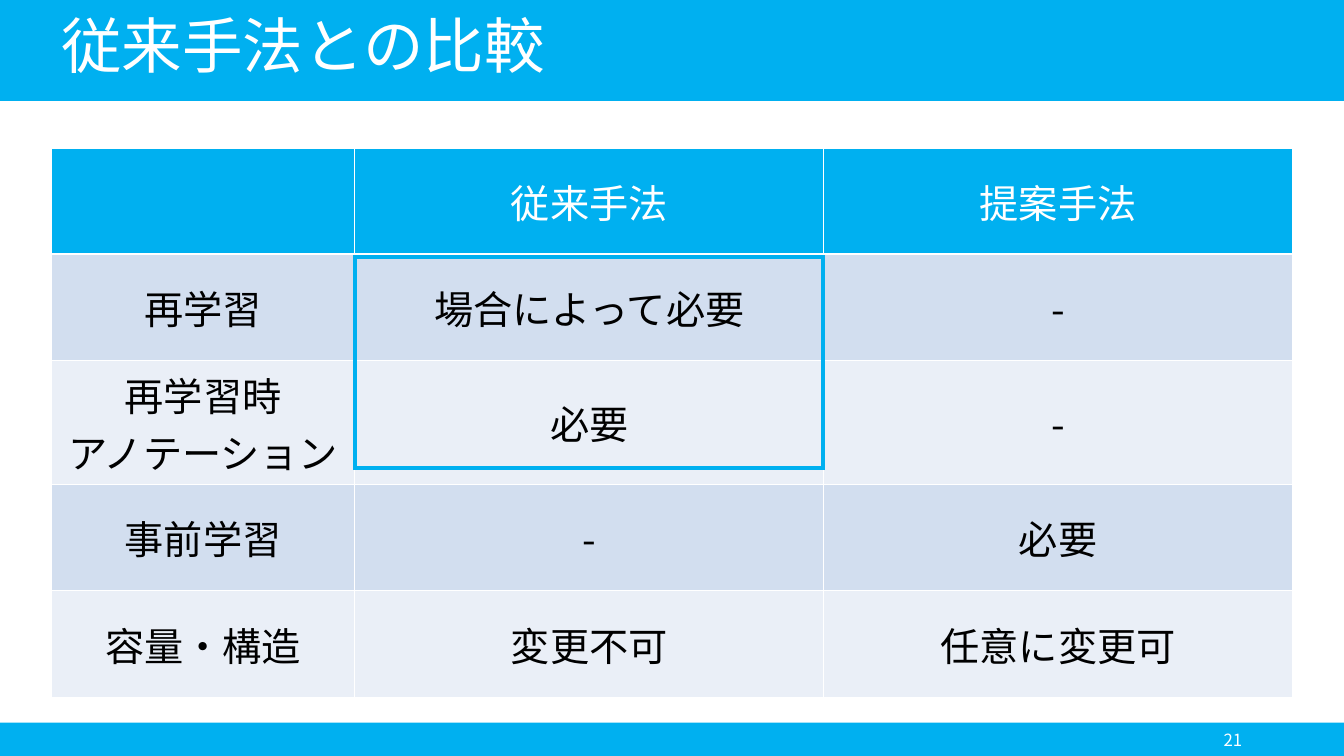
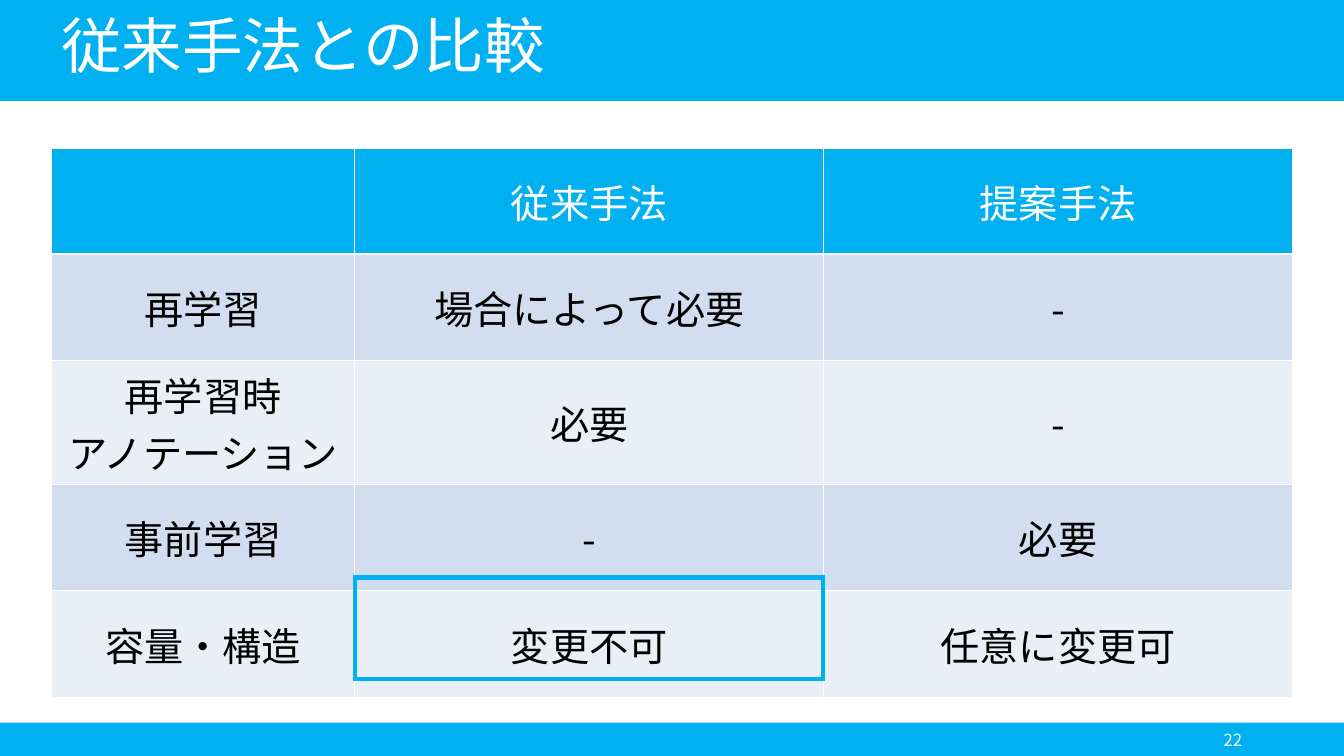
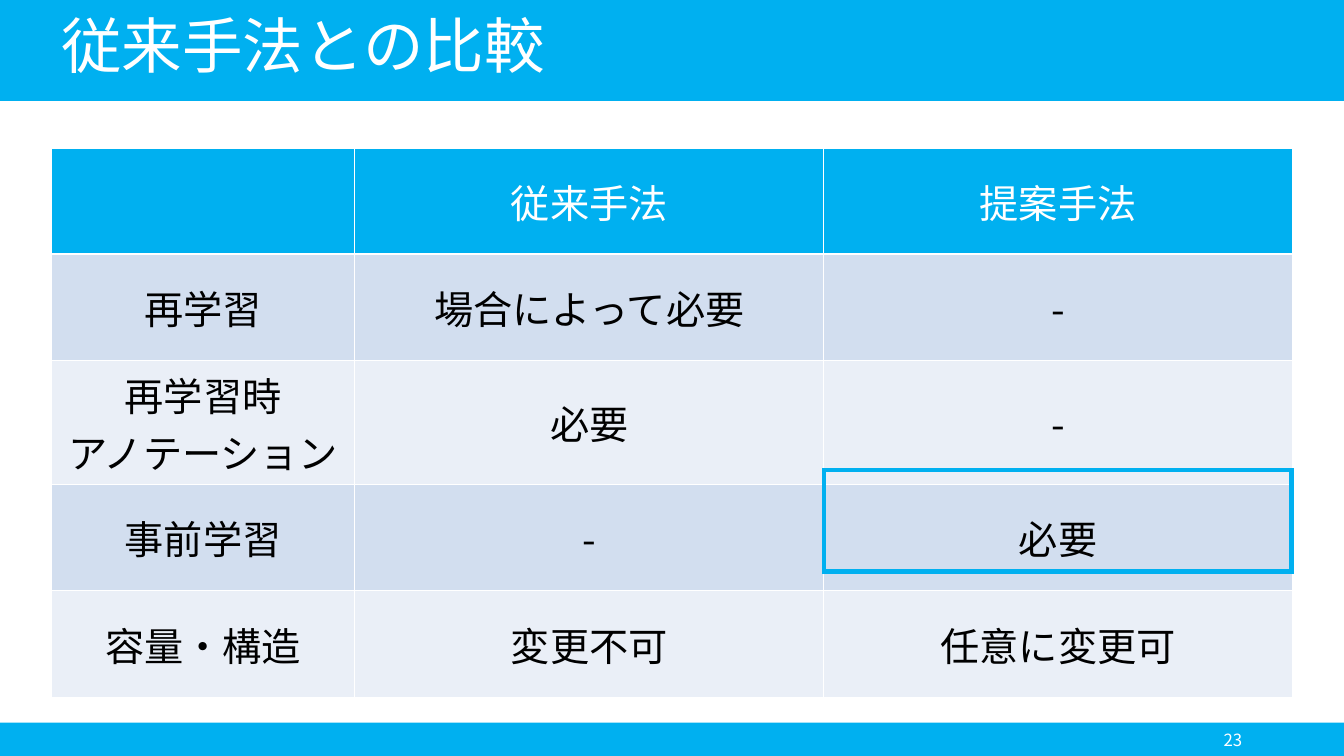
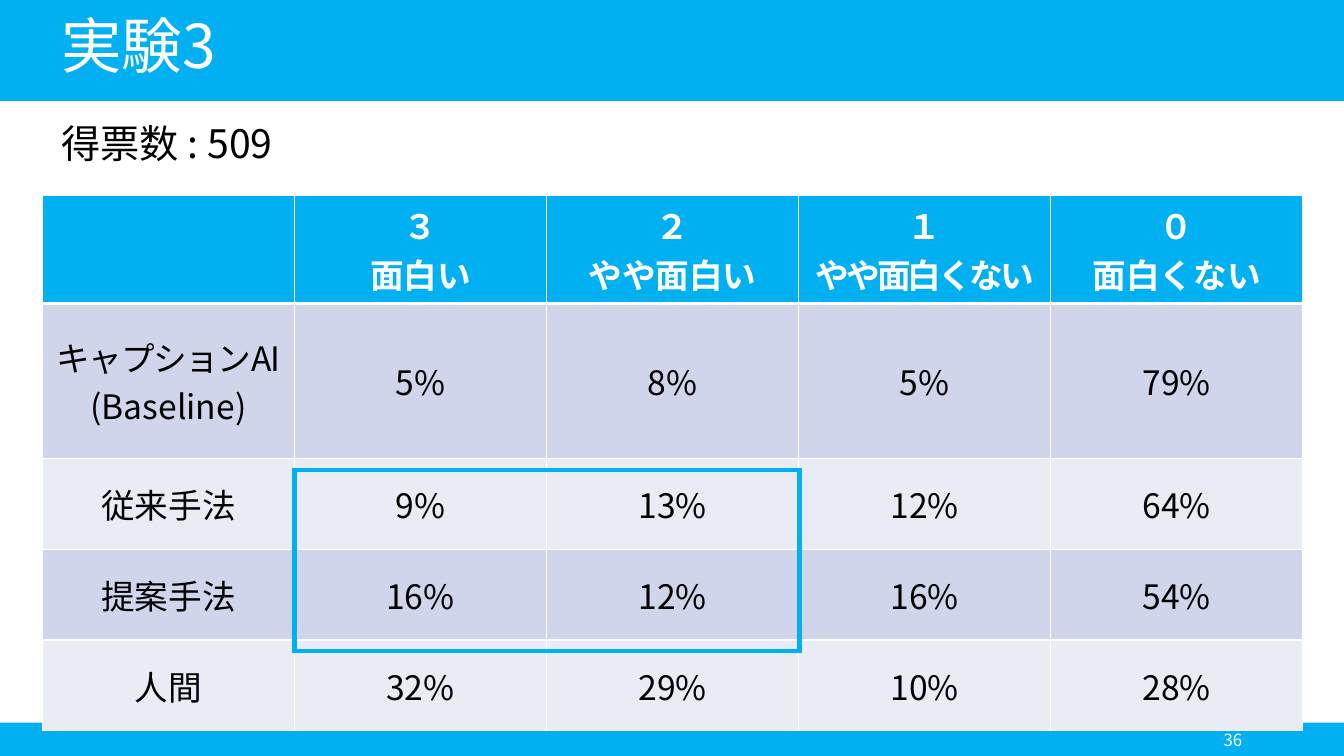
from dataclasses import dataclass

from pptx import Presentation
from pptx.dml.color import RGBColor
from pptx.enum.shapes import MSO_SHAPE as SHAPE
from pptx.enum.text import MSO_ANCHOR as ANCHOR, MSO_AUTO_SIZE as AUTO, PP_ALIGN as ALIGN
from pptx.oxml.ns import qn
from pptx.shapes.shapetree import GroupShapes
from pptx.util import Inches, Pt
from lxml.etree import SubElement


@dataclass(frozen=True)
class Theme:
    font: str = "Noto Sans CJK JP"
    accent: str = "00B0F0"
    white: str = "FFFFFF"
    black: str = "000000"
    title: float = 43.2
    body: float = 28
    dense: float = 24
    number: float = 12
    thin: float = 1
    thick: float = 3
    blue_rows: tuple = ("D2DEEF", "EAEFF7")
    violet_rows: tuple = ("CFD5EA", "E9EBF5")


THEME = Theme()


def rgb(color):
    return RGBColor.from_string(color)


def box(left, top, width, height):
    return Inches(left), Inches(top), Inches(width), Inches(height)


def write(tf, text, size=THEME.body, color=THEME.black, bold=False,
          align=ALIGN.LEFT, line=None, tracking=None):
    for i, content in enumerate(text.split("\n")):
        p = tf.add_paragraph() if i else tf.paragraphs[0]
        pPr = p._p.get_or_add_pPr()
        pPr.set("marL", "0")
        pPr.set("indent", "0")
        SubElement(pPr, qn("a:buNone"))
        p.alignment, p.space_before = align, Pt(0)
        if line:
            p.line_spacing = line
        r = p.add_run()
        r.text = content
        r.font.name, r.font.size, r.font.bold = THEME.font, Pt(size), bold
        r.font.color.rgb = rgb(color)
        rPr = r._r.get_or_add_rPr()
        SubElement(rPr, qn("a:ea")).set("typeface", THEME.font)
        if tracking and content in tracking:
            rPr.set("spc", str(tracking[content] * 100))


def draw_borders(cell, bottom):
    tcPr = cell._tc.get_or_add_tcPr()
    widths = {"L": THEME.thin, "R": THEME.thin, "T": THEME.thin, "B": bottom}
    for side, width in widths.items():
        ln = SubElement(tcPr, qn(f"a:ln{side}"), w=str(Pt(width)))
        SubElement(SubElement(ln, qn("a:solidFill")), qn("a:srgbClr")).set("val", THEME.white)


class Deck:
    def __init__(self):
        self.prs = Presentation()
        self.prs.slide_width, self.prs.slide_height = Inches(13.33), Inches(7.5)
        self.layout = self.prs.slide_layouts[1]
        self.place(self.layout.placeholders[0], 0.51, 0.1, 12.32, 0.78)
        self.place(self.layout.placeholders[1], 0.51, 1.19, 12.69, 6.01)
        shapes = GroupShapes(self.layout.shapes.element, self.layout)
        self.rect(shapes, -0.01, -0.01, 13.35, 1.01, fill=THEME.accent)
        self.rect(shapes, -0.01, 7.17, 13.35, 0.36, fill=THEME.accent)

    def place(self, sp, *position):
        sp.left, sp.top, sp.width, sp.height = box(*position)

    def rect(self, shapes, *position, fill=None, line=None):
        sp = shapes.add_shape(SHAPE.RECTANGLE, *box(*position))
        sp.shadow.inherit = False
        if fill:
            sp.fill.solid()
            sp.fill.fore_color.rgb = rgb(fill)
        else:
            sp.fill.background()
        if line:
            sp.line.color.rgb, sp.line.width = rgb(line), Pt(THEME.thick)
            SubElement(sp.line._get_or_add_ln(), qn("a:miter"), lim="800000")
        else:
            sp.line.fill.background()

    def slide(self, title, number, body=None):
        self.current = self.prs.slides.add_slide(self.layout)
        heading, content = self.current.placeholders
        tf = heading.text_frame
        tf.auto_size, tf.vertical_anchor = AUTO.NONE, ANCHOR.MIDDLE
        write(tf, title, size=THEME.title, color=THEME.white, line=0.9)
        if body:
            content.text_frame.auto_size = AUTO.NONE
            write(content.text_frame, body, line=0.9)
        else:
            content._element.getparent().remove(content._element)
        self.page_number(number)

    def page_number(self, number):
        tf = self.current.shapes.add_textbox(*box(9.42, 7.2, 3, 0.28)).text_frame
        tf.word_wrap, tf.vertical_anchor = True, ANCHOR.MIDDLE
        write(tf, str(number), size=THEME.number, color=THEME.white, align=ALIGN.RIGHT)

    def table(self, rows, left, top, widths, heights, fills, size=THEME.body,
              bold_header=False, header_rule=THEME.thin, tracking=None):
        frame = self.current.shapes.add_table(
            len(rows), len(widths), *box(left, top, sum(widths), sum(heights)))
        table = frame.table
        table.horz_banding = False
        for column, width in zip(table.columns, widths):
            column.width = Inches(width)
        for i, (row, height, texts) in enumerate(zip(table.rows, heights, rows)):
            row.height = Inches(height)
            header = i == 0
            for cell, text in zip(row.cells, texts):
                cell.vertical_anchor = ANCHOR.MIDDLE
                draw_borders(cell, header_rule if header else THEME.thin)
                cell.fill.solid()
                cell.fill.fore_color.rgb = rgb(THEME.accent if header else fills[(i - 1) % 2])
                if text:
                    write(cell.text_frame, text, size=size, align=ALIGN.CENTER,
                          color=THEME.white if header else THEME.black,
                          bold=header and bold_header, tracking=tracking)

    def highlight(self, *position):
        self.rect(self.current.shapes, *position, line=THEME.accent)


COMPARISON = [
    ("", "従来手法", "提案手法"),
    ("再学習", "場合によって必要", "-"),
    ("再学習時\nアノテーション", "必要", "-"),
    ("事前学習", "-", "必要"),
    ("容量・構造", "変更不可", "任意に変更可"),
]

VOTES = [
    ("", "３\n面白い", "２\nやや面白い", "１\nやや面白くない", "０\n面白くない"),
    ("キャプションAI\n(Baseline)", "5%", "8%", "5%", "79%"),
    ("従来手法", "9%", "13%", "12%", "64%"),
    ("提案手法", "16%", "12%", "16%", "54%"),
    ("人間", "32%", "29%", "10%", "28%"),
]

HIGHLIGHTS = {
    21: (3.52, 2.55, 4.64, 2.09),
    22: (3.52, 5.73, 4.64, 1.01),
    23: (8.17, 4.66, 4.64, 1.01),
}


def main():
    deck = Deck()
    for number, position in HIGHLIGHTS.items():
        deck.slide("従来手法との比較", number)
        deck.table(COMPARISON, 0.51, 1.47, [3.01, 4.65, 4.65],
                   [1.05, 1.06, 1.23, 1.05, 1.06], THEME.blue_rows)
        deck.highlight(*position)

    deck.slide("実験3", 36, body="得票数 : 509")
    deck.table(VOTES, 0.42, 1.94, [2.5] * 5, [1.07, 1.54] + [0.9] * 3, THEME.violet_rows,
               size=THEME.dense, bold_header=True, header_rule=THEME.thick,
               tracking={"やや面白くない": -2, "キャプションAI": -1})
    deck.highlight(2.92, 4.66, 5.01, 1.8)
    deck.prs.save("out.pptx")


if __name__ == "__main__":
    main()
